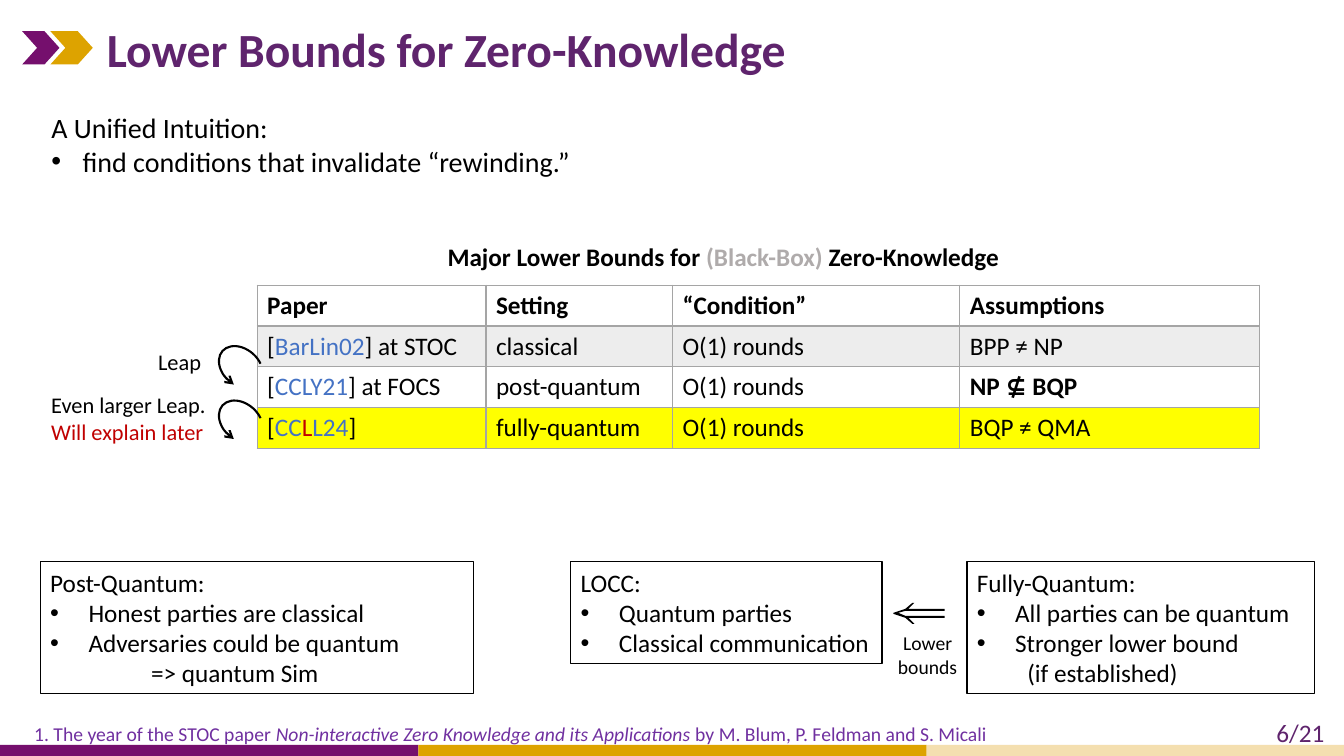
from dataclasses import dataclass

import pptx
import pptx.dml.color
import pptx.enum.shapes
import pptx.enum.text
import pptx.oxml
import pptx.oxml.ns
import pptx.util
from pptx.util import Inches

FONT = "Calibri"
COLORS = {
    "black": "000000",
    "white": "FFFFFF",
    "purple": "750F6D",
    "title": "5F246D",
    "gold": "DDA300",
    "sand": "F4DFB0",
    "note": "7030A0",
    "citation": "4472C4",
    "red": "C00000",
    "muted": "AFABAB",
    "border": "A5A5A5",
    "band": "EDEDED",
    "highlight": "FFFF00",
}
SHAPES = pptx.enum.shapes.MSO_SHAPE
ANCHORS = pptx.enum.text.MSO_ANCHOR
ALIGNMENTS = pptx.enum.text.PP_ALIGN


@dataclass
class Piece:
    text: str
    color: str = ""
    bold: bool = False
    italic: bool = False


@dataclass
class Line:
    pieces: list
    margin: float = 0
    bullet: bool = False


def rgb(name):
    return pptx.dml.color.RGBColor.from_string(COLORS[name])


def add_xml(parent, tag, content="", **attributes):
    listed = " ".join(f'{name}="{value}"' for name, value in attributes.items())
    namespace = pptx.oxml.ns.nsdecls("a")
    parent.append(pptx.oxml.parse_xml(f"<a:{tag} {namespace} {listed}>{content}</a:{tag}>"))


def write_text(text_frame, lines, size, color="black", bold=False, align=ALIGNMENTS.LEFT):
    for index, line in enumerate(lines):
        if isinstance(line, str):
            line = Line([Piece(line)])
        paragraph = text_frame.paragraphs[0] if index == 0 else text_frame.add_paragraph()
        paragraph.alignment = align
        paragraph.space_before = pptx.util.Pt(0)
        properties = paragraph._p.get_or_add_pPr()
        properties.set("marL", str(Inches(line.margin)))
        properties.set("indent", str(Inches(-line.margin if line.bullet else 0)))
        if line.bullet:
            add_xml(properties, "buFont", typeface="Arial")
            add_xml(properties, "buChar", char="•")
        else:
            add_xml(properties, "buNone")
        for piece in line.pieces:
            run = paragraph.add_run()
            run.text = piece.text
            run.font.name = FONT
            run.font.size = pptx.util.Pt(size)
            run.font.bold = bold or piece.bold
            run.font.italic = piece.italic
            run.font.color.rgb = rgb(piece.color or color)


def add_text(slide, box, lines, size, **style):
    text_box = slide.shapes.add_textbox(*map(Inches, box))
    text_box.text_frame.word_wrap = True
    write_text(text_box.text_frame, lines, size, **style)


def fill_placeholder(placeholder, box, lines, size, anchor, **style):
    placeholder.left, placeholder.top, placeholder.width, placeholder.height = map(Inches, box)
    text_frame = placeholder.text_frame
    text_frame.auto_size = pptx.enum.text.MSO_AUTO_SIZE.NONE
    text_frame.vertical_anchor = anchor
    write_text(text_frame, lines, size, **style)


def add_block(slide, kind, box, color):
    block = slide.shapes.add_shape(kind, *map(Inches, box))
    block.shadow.inherit = False
    block.fill.solid()
    block.fill.fore_color.rgb = rgb(color)
    block.line.fill.background()
    return block


def add_definition(slide, box, lines):
    frame = add_block(slide, SHAPES.RECTANGLE, box, "white")
    frame.line.color.rgb = rgb("black")
    frame.line.width = pptx.util.Pt(1)
    frame.text_frame.word_wrap = True
    frame.text_frame.vertical_anchor = ANCHORS.MIDDLE
    write_text(frame.text_frame, lines, 18)


def add_leap_arrow(slide, top):
    arc = slide.shapes.add_shape(SHAPES.ARC, *map(Inches, (2.21, top, 0.36, 0.49)))
    arc.shadow.inherit = False
    arc.rotation = 311.7
    arc.element.spPr.xfrm.set("flipH", "1")
    for index, degrees in enumerate((142.15, 19.15)):
        arc.adjustments[index] = degrees * 0.6
    arc.fill.background()
    arc.line.color.rgb = rgb("black")
    arc.line.width = pptx.util.Pt(1.5)
    add_xml(arc.line._get_or_add_ln(), "tailEnd", type="arrow")


def add_implied_by(slide):
    upper_half = [(886, 608), (898, 604), (905, 598), (907, 598), (901, 604),
                  (937, 604), (937, 606), (898, 606), (891, 608.5)]
    mirror = 608.5 * 2
    lower_half = [(x, mirror - y) for x, y in reversed(upper_half)]
    points = upper_half + lower_half
    builder = slide.shapes.build_freeform(*points[0], scale=Inches(0.01))
    builder.add_line_segments(points[1:], close=True)
    arrow = builder.convert_to_shape()
    arrow.shadow.inherit = False
    arrow.fill.solid()
    arrow.fill.fore_color.rgb = rgb("black")
    arrow.line.fill.background()


def add_bounds_table(slide):
    def paper(*pieces, venue=""):
        return [Piece("["), *pieces, Piece("]" + venue)]

    def cited(text):
        return Piece(text, "citation")

    rounds = "O(1) rounds"
    rows = [
        (None, ["Paper", "Setting", "“Condition”", "Assumptions"]),
        ("band", [paper(cited("BarLin02"), venue=" at STOC"), "classical", rounds, "BPP ≠ NP"]),
        (None, [paper(cited("CCLY21"), venue=" at FOCS"), "post-quantum", rounds,
                [Piece("NP ⊈ BQP", bold=True)]]),
        ("highlight", [paper(cited("CC"), Piece("L", "red"), cited("L24")),
                       "fully-quantum", rounds, "BQP ≠ QMA"]),
    ]
    widths = (2.27, 1.85, 2.85, 2.97)
    box = map(Inches, (2.55, 2.83, sum(widths), 0.405 * len(rows)))
    table = slide.shapes.add_table(len(rows), len(widths), *box).table
    table.first_row = table.horz_banding = False
    for column, width in zip(table.columns, widths):
        column.width = Inches(width)
    for row_index, (fill, contents) in enumerate(rows):
        for column_index, content in enumerate(contents):
            cell = table.cell(row_index, column_index)
            properties = cell._tc.get_or_add_tcPr()
            for side in ("lnL", "lnR", "lnT", "lnB"):
                heavy = (row_index, side) in ((0, "lnB"), (1, "lnT"))
                add_xml(properties, side,
                        f'<a:solidFill><a:srgbClr val="{COLORS["border"]}"/></a:solidFill>',
                        w=pptx.util.Pt(2 if heavy else 1))
            if fill:
                cell.fill.solid()
                cell.fill.fore_color.rgb = rgb(fill)
            else:
                cell.fill.background()
            line = content if isinstance(content, str) else Line(content)
            write_text(cell.text_frame, [line], 18, bold=row_index == 0)


def add_template_decoration(slide):
    for left, width, color in ((0, 4.15, "purple"), (4.15, 5.04, "gold"), (9.19, 4.14, "sand")):
        add_block(slide, SHAPES.RECTANGLE, (left, 7.39, width, 0.11), color)
    for left, width, color in ((0.22, 0.37, "purple"), (0.5, 0.42, "gold")):
        chevron = add_block(slide, SHAPES.CHEVRON, (left, 0.31, width, 0.33), color)
        chevron.adjustments[0] = 0.45
    add_text(slide, (12.56, 7.07, 0.88, 0.4), ["6/21"], 18, color="title")


def bullets(*texts):
    return [Line([Piece(text)], 0.38, True) for text in texts]


def main():
    presentation = pptx.Presentation()
    presentation.slide_width, presentation.slide_height = Inches(13.33), Inches(7.5)
    slide = presentation.slides.add_slide(presentation.slide_layouts[1])
    add_template_decoration(slide)
    fill_placeholder(slide.shapes.title, (0.96, 0.12, 11.21, 0.73),
                     ["Lower Bounds for Zero-Knowledge"], 34, ANCHORS.MIDDLE,
                     color="title", bold=True)
    intuition = [Piece("find conditions that invalidate “rewinding.”")]
    fill_placeholder(slide.placeholders[1], (0.41, 1.05, 9.31, 0.77),
                     ["A Unified Intuition:", Line(intuition, 0.31, True)], 20, ANCHORS.TOP)

    add_bounds_table(slide)
    caption = [Piece("Major Lower Bounds for "), Piece("(Black-Box) ", "muted"),
               Piece("Zero-Knowledge")]
    add_text(slide, (4.34, 2.34, 6.55, 0.4), [Line(caption)], 18, bold=True)
    add_text(slide, (1.47, 3.4, 0.64, 0.37), ["Leap"], 16)
    add_text(slide, (0.41, 3.83, 1.78, 0.64),
             ["Even larger Leap.", Line([Piece("Will explain later", "red")])], 16)
    for top in (3.4, 3.94):
        add_leap_arrow(slide, top)

    add_definition(slide, (0.4, 5.57, 4.3, 1.31), [
        "Post-Quantum:",
        *bullets("Honest parties are classical", "Adversaries could be quantum"),
        Line([Piece("=> quantum Sim")], 1)])
    add_definition(slide, (5.66, 5.57, 3.09, 1.01), [
        "LOCC:", *bullets("Quantum parties", "Classical communication")])
    add_definition(slide, (9.59, 5.57, 3.45, 1.31), [
        "Fully-Quantum:",
        *bullets("All parties can be quantum", "Stronger lower bound"),
        Line([Piece("(if established)")], 0.5)])
    add_implied_by(slide)
    add_text(slide, (8.74, 6.21, 0.92, 0.57), ["Lower bounds"], 14, align=ALIGNMENTS.CENTER)

    footnote = [Piece("1. The year of the STOC paper "),
                Piece("Non-interactive Zero Knowledge and its Applications", italic=True),
                Piece(" by M. Blum, P. Feldman and S. Micali")]
    add_text(slide, (0.24, 7.11, 12.05, 0.34), [Line(footnote)], 14, color="note")
    presentation.save("out.pptx")


if __name__ == "__main__":
    main()
